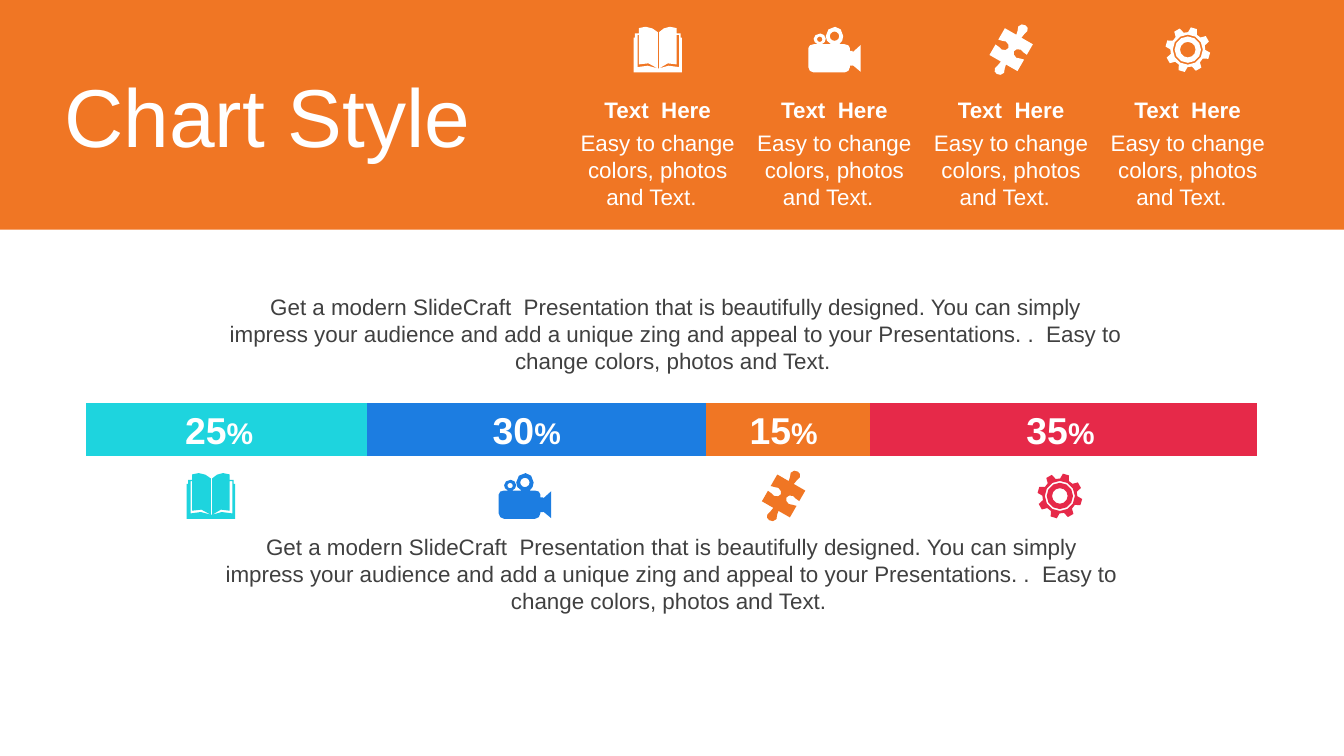
from dataclasses import dataclass
from math import cos, radians, sin

from pptx import Presentation
from pptx.chart.data import CategoryChartData
from pptx.dml.color import RGBColor
from pptx.enum.chart import XL_CHART_TYPE as ChartType
from pptx.enum.shapes import MSO_SHAPE as ShapeType
from pptx.enum.text import MSO_ANCHOR as Anchor, MSO_AUTO_SIZE as AutoSize, PP_ALIGN as Align
from pptx.oxml import parse_xml
from pptx.oxml.ns import nsdecls
from pptx.util import Pt


@dataclass(frozen=True)
class Theme:
    """Colours, font and type sizes of the slide."""
    white: str = "FFFFFF"
    ink: str = "404040"
    cyan: str = "1ED4DE"
    blue: str = "1C7DE1"
    orange: str = "F07624"
    red: str = "E62949"
    font: str = "Arial"
    title: int = 44
    number: int = 20
    percent: int = 16
    chart: int = 18
    body: int = 12


@dataclass(frozen=True)
class Icon:
    """Outlines in hundredths of an inch, with their centre and tilt."""
    contours: list
    center: tuple = (0, 0)
    tilt: float = 0


THEME = Theme()
UNIT = 0.72
FINE = 10
CURVE_STEPS = 2
BLURB = ("Get a modern SlideCraft  Presentation that is beautifully designed. You can simply "
         "impress your audience and add a unique zing and appeal to your Presentations. .  "
         "Easy to change colors, photos and Text. ")


def polar(radius, degrees, center=(0, 0)):
    """Return the point at a radius and angle from a centre."""
    angle = radians(degrees)
    return center[0] + radius * cos(angle), center[1] + radius * sin(angle)


def circle(radius, center=(0, 0)):
    """Return a circular contour."""
    return [polar(radius, degrees, center) for degrees in range(0, 360, 30)]


def book_icon():
    """Return an open book."""
    return Icon([[
        (18, 31), (19, 31), (25, 29, 27, 28, 34, 30), (34, 6), (32, 6), (32, 28),
        (28, 26, 23, 27, 19, 31), (19, 4), (21, 2, 24, 0, 27, 0), (32, 1),
        (32, 5), (35, 5), (35, 8), (36, 8), (36, 34), (0, 34), (0, 8), (1, 8), (1, 5),
        (4, 5), (4, 1), (9, 0), (13, 0, 15, 2, 18, 4), (18, 31),
        (13, 27, 9, 26, 4, 28), (4, 6), (3, 6), (3, 30), (9, 28, 12, 29, 18, 31),
    ]], (18, 17))


def camera_icon():
    """Return a film camera with two reels."""
    body = [
        (20, 0), (23, 0, 26, 3, 26, 7), (26, 9, 25, 12, 23, 13), (27, 13),
        (29, 13, 31, 14, 31, 16), (31, 18), (33, 18), (33, 19), (39, 13.5), (39, 33.5),
        (33, 28.5), (33, 29), (31, 29), (31, 30), (31, 32, 29, 34, 27, 34), (4, 34),
        (2, 34, 0, 32, 0, 30), (0, 16), (0, 14, 2, 13, 4, 13), (7, 13),
        (5, 12, 4, 11, 4, 9), (4, 7, 6, 5, 9, 5), (11, 5, 13, 7, 13, 9),
        (13, 11, 12, 12, 10, 13), (17, 13), (14, 12, 13, 9, 13, 7), (13, 3, 16, 0, 20, 0),
    ]
    return Icon([body, circle(2, (8.5, 9.3)), circle(3.5, (19.5, 7))], (19.5, 17))


def puzzle_icon():
    """Return a puzzle piece whose second half is the first turned around."""
    half = [
        (0.3, -21), (2, -21, 3.4, -20, 3.6, -18), (3.6, -16, 1.8, -15, 2.2, -11.5),
        (12, -11.5), (12, -2.5), (9.3, -1.9, 8.3, -3.5, 6.1, -3.5),
        (3.8, -3.5, 2.4, -1.5, 2.4, 0), (2.7, 1.5, 4, 3.3, 6.3, 3.3),
        (8.7, 3.1, 9.1, 1.7, 12, 1.6), (12, 11.5), (2.2, 11.5),
        (1.8, 15, 3.5, 14, 4, 17.6), (3.6, 20, 1.8, 21, -0.3, 21),
    ]
    return Icon([half + [tuple(-value for value in step) for step in half[1:]]], tilt=29.9)


def gear_icon():
    """Return an eight-toothed gear around a ring."""
    tooth = ((13, -15), (16.8, -8), (16.8, 8), (13, 15))
    teeth = [polar(radius, 45 * index - 74 + offset)
             for index in range(8) for radius, offset in tooth]
    return Icon([teeth, circle(11.2), circle(9.8), circle(5.8)])


def flatten(contour):
    """Turn line and Bézier steps into whole fine-unit points."""
    points = [contour[0]]
    for step in contour[1:]:
        if len(step) == 2:
            points.append(step)
            continue
        start, first, second, end = points[-1], step[:2], step[2:4], step[4:]
        for t in (index / CURVE_STEPS for index in range(1, CURVE_STEPS + 1)):
            points.append(tuple(
                (1 - t) ** 3 * a + 3 * (1 - t) ** 2 * t * b + 3 * (1 - t) * t * t * c + t ** 3 * d
                for a, b, c, d in zip(start, first, second, end)))
    return [(round(x * FINE), round(y * FINE)) for x, y in points]


def paint(shape, color):
    """Give a shape a flat fill without line or shadow."""
    shape.shadow.inherit = False
    shape.fill.solid()
    shape.fill.fore_color.rgb = RGBColor.from_string(color)
    shape.line.fill.background()


def add_icon(slide, icon, center_x, center_y, color):
    """Draw an icon centred on a point."""
    first, *others = [flatten(contour) for contour in icon.contours]
    builder = slide.shapes.build_freeform(*first[0], scale=Pt(UNIT) / FINE)
    builder.add_line_segments(first[1:])
    for points in others:
        builder.move_to(*points[0])
        builder.add_line_segments(points[1:])
    shape = builder.convert_to_shape(Pt(center_x - icon.center[0] * UNIT),
                                     Pt(center_y - icon.center[1] * UNIT))
    shape.rotation = icon.tilt
    paint(shape, color)


def add_text(slide, box, runs, color, bold=False, **frame_format):
    """Place one centred paragraph of (text, size) runs in a box."""
    frame = slide.shapes.add_textbox(*map(Pt, box)).text_frame
    settings = {"word_wrap": True, "auto_size": AutoSize.SHAPE_TO_FIT_TEXT} | frame_format
    for name, value in settings.items():
        setattr(frame, name, value)
    paragraph = frame.paragraphs[0]
    paragraph.alignment = Align.CENTER
    for text, size in runs:
        run = paragraph.add_run()
        run.text = text
        for name, value in {"name": THEME.font, "size": Pt(size), "bold": bold}.items():
            setattr(run.font, name, value)
        run.font.color.rgb = RGBColor.from_string(color)


def add_banner(slide, box, icons):
    """Draw the title band with its row of captioned icons."""
    left, top = box[:2]
    band = slide.shapes.add_shape(ShapeType.RECTANGLE, *map(Pt, box))
    paint(band, THEME.orange)
    add_text(slide, (left, top + 26.6, 286.6, 69.8), [("Chart Style", THEME.title)], THEME.white,
             auto_size=AutoSize.NONE, vertical_anchor=Anchor.MIDDLE)
    for index, icon in enumerate(icons):
        column = left + 302.4 + 94.65 * index
        add_icon(slide, icon, column + 50, top + 26.6, THEME.white)
        add_text(slide, (column, top + 65.5, 100, 51),
                 [("Easy to change colors, photos and Text.  ", THEME.body)], THEME.white)
        add_text(slide, (column, top + 48.2, 100, 21.6), [("Text  Here", THEME.body)],
                 THEME.white, bold=True)


def add_share_chart(slide, box, segments):
    """Draw the single stacked bar, its labels and the icons below it."""
    data = CategoryChartData()
    data.categories = ["1"]
    for number, segment in enumerate(segments, 1):
        data.add_series(f"Series {number}", [segment["value"]])
    chart = slide.shapes.add_chart(ChartType.BAR_STACKED_100, *map(Pt, box), data).chart
    for name, value in {"has_legend": False, "has_title": False}.items():
        setattr(chart, name, value)
    for name, value in {"name": THEME.font, "size": Pt(THEME.chart)}.items():
        setattr(chart.font, name, value)
    chart.font.color.rgb = RGBColor(0, 0, 0)
    for axis in (chart.category_axis, chart.value_axis):
        for name, value in {"has_major_gridlines": False, "visible": False}.items():
            setattr(axis, name, value)
    plot = chart.plots[0]
    for name, value in {"gap_width": 100, "overlap": 100, "vary_by_categories": False}.items():
        setattr(plot, name, value)
    area = chart.element.xpath("c:chart/c:plotArea")[0]
    for layout in area.xpath("c:layout"):
        area.remove(layout)
    places = {"xMode": "edge", "yMode": "edge", "x": 0.023, "y": 0, "w": 0.954, "h": 0.996}
    marks = "".join(f'<c:{name} val="{value}"/>' for name, value in places.items())
    area.insert(0, parse_xml(f'<c:layout {nsdecls("c")}><c:manualLayout>'
                             f'<c:layoutTarget val="inner"/>{marks}</c:manualLayout></c:layout>'))
    left, top = box[:2]
    for series, segment in zip(plot.series, segments):
        series.format.fill.solid()
        series.format.fill.fore_color.rgb = RGBColor.from_string(segment["color"])
        add_text(slide, (left + segment["label_x"] - 31, top + 13, 62, 31.7),
                 [(segment["label"], THEME.number), ("%", THEME.percent)], THEME.white, bold=True)
        add_icon(slide, segment["icon"], left + segment["icon_x"], top + 64.1, segment["color"])


def main():
    """Build and save the slide."""
    presentation = Presentation()
    presentation.slide_width, presentation.slide_height = Pt(720), Pt(405)
    slide = presentation.slides.add_slide(presentation.slide_layouts[6])
    icons = [book_icon(), camera_icon(), puzzle_icon(), gear_icon()]
    fields = ("value", "label", "color", "label_x", "icon_x", "icon")
    rows = [(24, "25", THEME.cyan, 86.4, 82), (29, "30", THEME.blue, 251.2, 250.2),
            (14, "15", THEME.orange, 388.8, 388.8), (33, "35", THEME.red, 537.1, 536.8)]
    segments = [dict(zip(fields, (*row, icon))) for row, icon in zip(rows, icons)]
    add_banner(slide, (0, 0, 720, 123.1), icons)
    add_share_chart(slide, (31, 201.6, 657.4, 57.6), segments)
    for left, top in ((115.2, 153.4), (113, 282.2)):
        add_text(slide, (left, top, 494, 51), [(BLURB, THEME.body)], THEME.ink)
    presentation.save("out.pptx")


if __name__ == "__main__":
    main()
